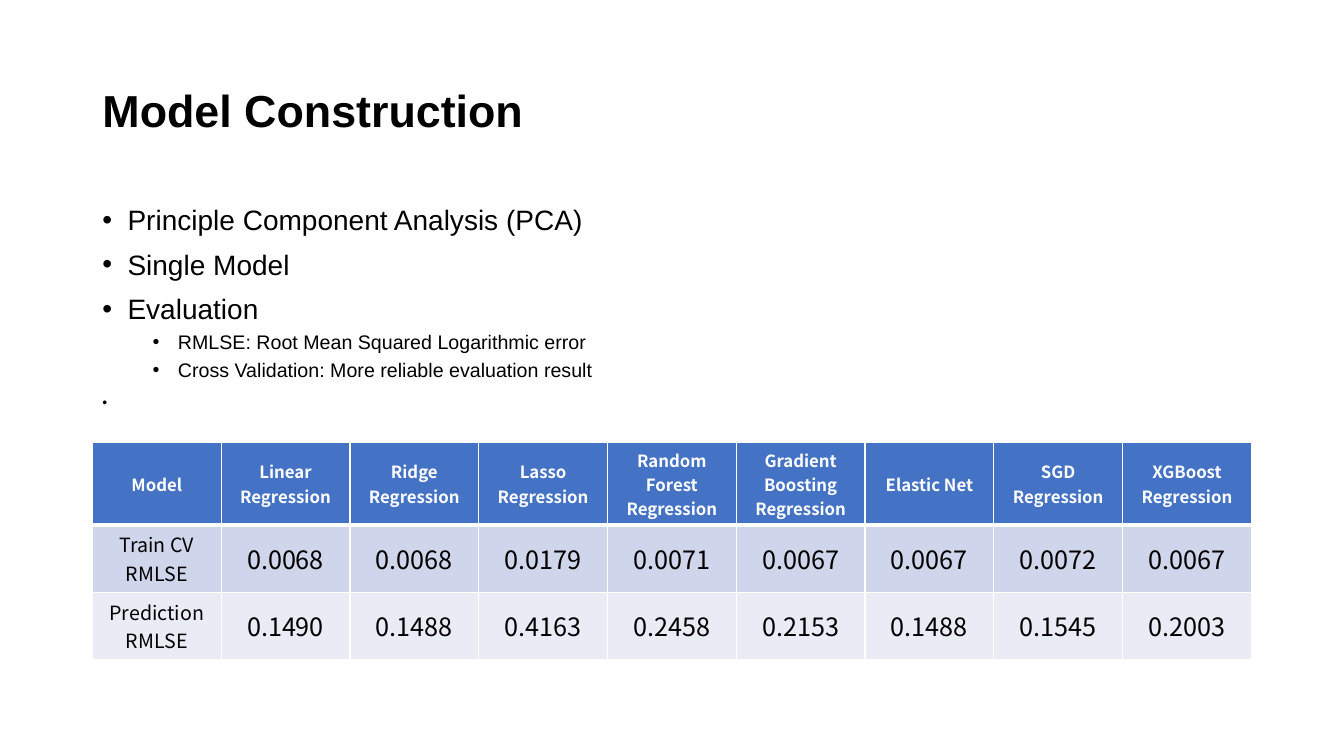
import dataclasses
import lxml.etree
import pptx
import pptx.dml.color
import pptx.enum.text
import pptx.oxml.ns
import pptx.util


@dataclasses.dataclass
class Theme:
    sans: str = "Arial"
    cell: str = "Noto Sans CJK SC"
    ink: str = "000000"
    white: str = "FFFFFF"
    head: str = "4472C4"
    bands: tuple = ("CFD5EA", "E9EBF5")
    title: int = 32
    point: int = 20
    sub: int = 14
    tail: int = 10
    label: int = 12
    value: int = 18
    thin: int = 1
    thick: int = 3


class Deck:
    cols, rows = 160, 90

    def __init__(self, theme):
        self.theme = theme
        self.show = pptx.Presentation()
        self.show.slide_width = pptx.util.Inches(13.333)
        self.show.slide_height = pptx.util.Inches(7.5)
        self.slide = self.show.slides.add_slide(self.show.slide_layouts[5])

    def across(self, count):
        return round(self.show.slide_width * count / self.cols)

    def down(self, count):
        return round(self.show.slide_height * count / self.rows)

    def area(self, left, top, width, height):
        return self.across(left), self.down(top), self.across(width), self.down(height)

    def font(self, para, size, name, color, bold=False):
        font = para.font
        font.size, font.name, font.bold = pptx.util.Pt(size), name, bold
        font.color.rgb = pptx.dml.color.RGBColor.from_string(color)

    def title(self, text, *box):
        shape = self.slide.shapes.title
        shape.left, shape.top, shape.width, shape.height = self.area(*box)
        frame = shape.text_frame
        frame.text = text
        frame.auto_size = pptx.enum.text.MSO_AUTO_SIZE.NONE
        frame.vertical_anchor = pptx.enum.text.MSO_ANCHOR.MIDDLE
        para = frame.paragraphs[0]
        para.alignment = pptx.enum.text.PP_ALIGN.LEFT
        para.line_spacing = 0.9
        self.font(para, self.theme.title, self.theme.sans, self.theme.ink, True)

    def bullets(self, items, *box):
        frame = self.slide.shapes.add_textbox(*self.area(*box)).text_frame
        frame.word_wrap = True
        for index, (text, level, size) in enumerate(items):
            para = frame.add_paragraph() if index else frame.paragraphs[0]
            para.text, para.level, para.line_spacing = text, level, 0.9
            para.space_before = pptx.util.Pt(5 if level else 10)
            self.font(para, size, self.theme.sans, self.theme.ink)
            props = para._p.get_or_add_pPr()
            props.set("marL", str(self.across(3 + 6 * level)))
            props.set("indent", str(-self.across(3)))
            for tag, key, value in (("a:buFont", "typeface", self.theme.sans),
                                    ("a:buChar", "char", "•")):
                lxml.etree.SubElement(props, pptx.oxml.ns.qn(tag)).set(key, value)

    def border(self, cell, side, width):
        props = cell._tc.get_or_add_tcPr()
        line = lxml.etree.SubElement(props, pptx.oxml.ns.qn("a:ln" + side))
        line.set("w", str(pptx.util.Pt(width)))
        fill = lxml.etree.SubElement(line, pptx.oxml.ns.qn("a:solidFill"))
        color = lxml.etree.SubElement(fill, pptx.oxml.ns.qn("a:srgbClr"))
        color.set("val", self.theme.white)

    def cell(self, cell, text, row, col):
        theme = self.theme
        for side in "LRTB":
            heavy = (row, side) in ((0, "B"), (1, "T"))
            self.border(cell, side, theme.thick if heavy else theme.thin)
        cell.fill.solid()
        fill = theme.bands[row - 1] if row else theme.head
        cell.fill.fore_color.rgb = pptx.dml.color.RGBColor.from_string(fill)
        cell.vertical_anchor = pptx.enum.text.MSO_ANCHOR.MIDDLE
        cell.text = text
        para = cell.text_frame.paragraphs[0]
        para.alignment = pptx.enum.text.PP_ALIGN.CENTER
        size = theme.value if col else theme.sub
        self.font(para, size if row else theme.label, theme.cell,
                  theme.ink if row else theme.white, row == 0)

    def table(self, data, heights, left, top, width):
        box = self.area(left, top, width, sum(heights))
        table = self.slide.shapes.add_table(len(data), len(data[0]), *box).table
        for column in table.columns:
            column.width = self.across(width / len(data[0]))
        for row, (texts, height) in enumerate(zip(data, heights)):
            table.rows[row].height = self.down(height)
            for col, text in enumerate(texts):
                self.cell(table.cell(row, col), text, row, col)


theme = Theme()
deck = Deck(theme)
left, width = 11, 138
deck.title("Model Construction", left, 4.8, width, 17.4)
deck.bullets([
    ("Principle Component Analysis (PCA)", 0, theme.point),
    ("Single Model", 0, theme.point),
    ("Evaluation", 0, theme.point),
    ("RMLSE: Root Mean Squared Logarithmic error", 1, theme.sub),
    ("Cross Validation: More reliable evaluation result", 1, theme.sub),
    ("\u3000", 0, theme.tail),
], left, 24, width, 28)

scores = [
    ("Model", "Train CV RMLSE", "Prediction RMLSE"),
    ("Linear Regression", "0.0068", "0.1490"),
    ("Ridge Regression", "0.0068", "0.1488"),
    ("Lasso Regression", "0.0179", "0.4163"),
    ("Random Forest Regression", "0.0071", "0.2458"),
    ("Gradient Boosting Regression", "0.0067", "0.2153"),
    ("Elastic Net", "0.0067", "0.1488"),
    ("SGD Regression", "0.0072", "0.1545"),
    ("XGBoost Regression", "0.0067", "0.2003"),
]
deck.table(list(zip(*scores)), (9.8, 8, 8), left, 52.7, width)
deck.show.save("out.pptx")
